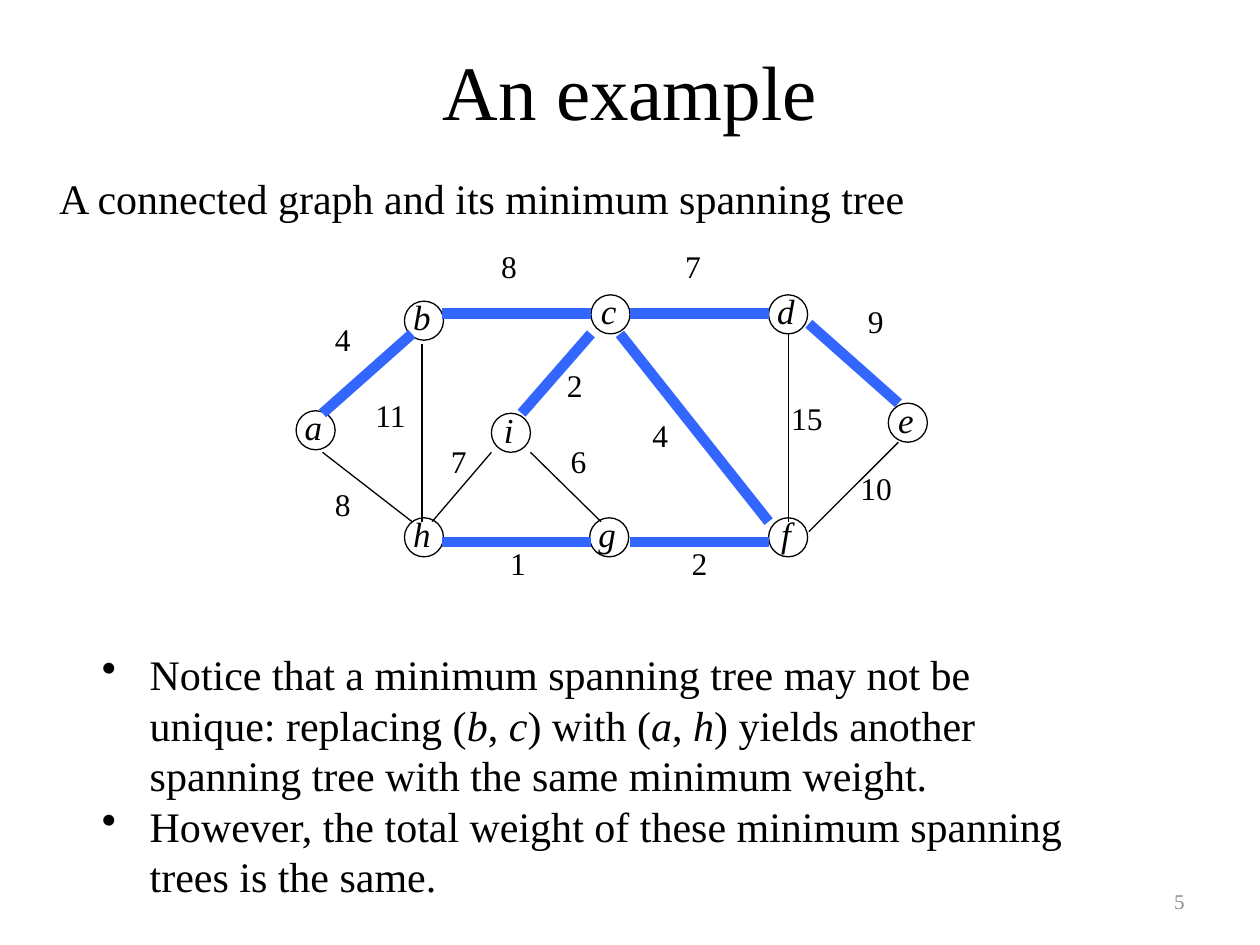
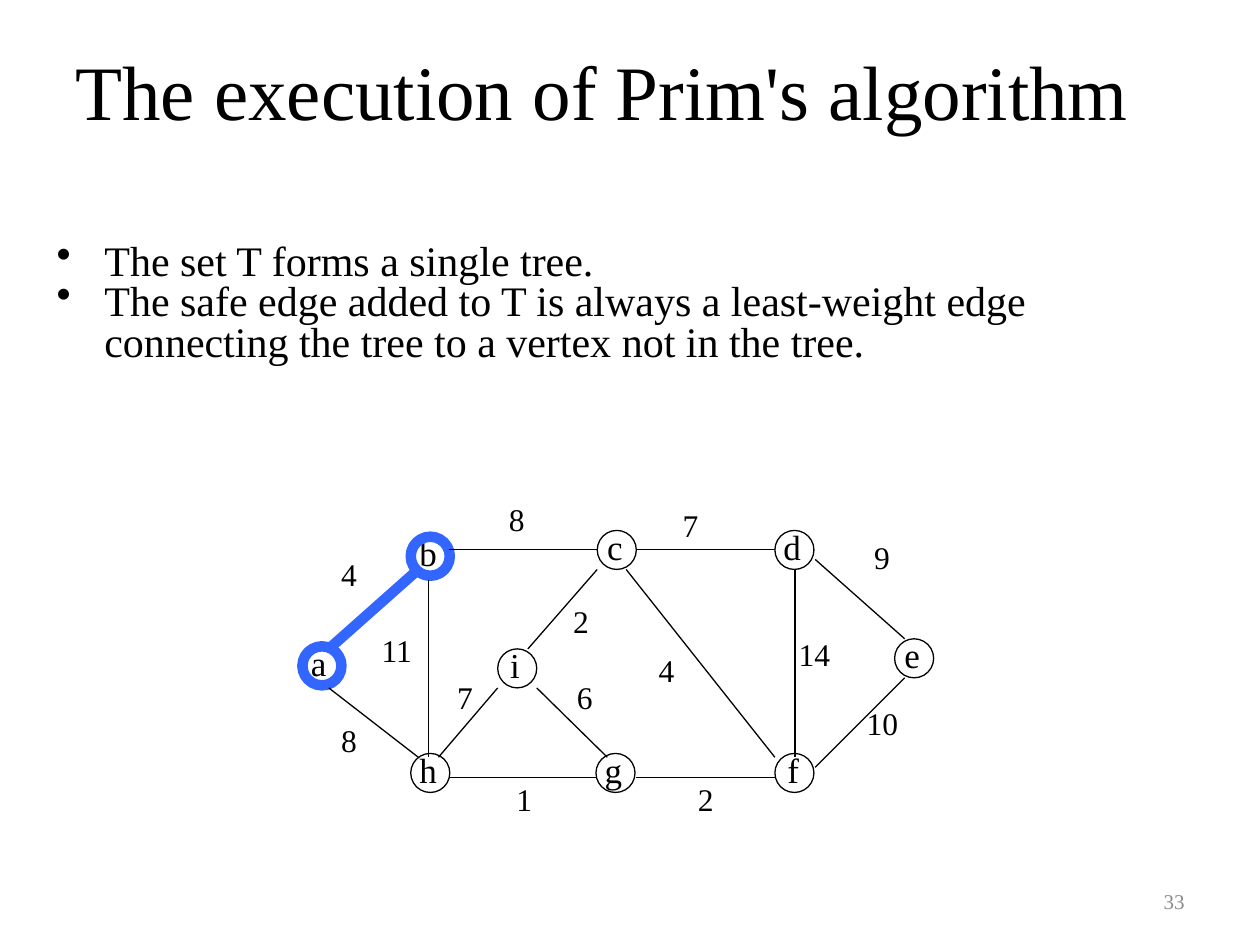
import lxml.etree
import pptx
import pptx.dml.color
import pptx.enum.shapes
import pptx.enum.text
import pptx.oxml.ns
import pptx.util

Inches = pptx.util.Inches
Align = pptx.enum.text.PP_ALIGN
Anchor = pptx.enum.text.MSO_ANCHOR

FONT = "Times New Roman"
BLACK, BLUE, GRAY = "000000", "3366FF", "8C8C8C"
THIN, THICK = 0.75, 6
NODE_SIZE = 0.31

NODES = {
    "a": (2.35, 3.26), "b": (3.21, 2.39), "h": (3.21, 4.11),
    "c": (4.69, 2.34), "d": (6.1, 2.34), "e": (7.05, 3.2),
    "f": (6.1, 4.11), "g": (4.68, 4.11), "i": (3.9, 3.28),
}
LETTER_WIDTHS = {"c": 0.32, "e": 0.32, "f": 0.28, "i": 0.28}
EDGES = {
    "ab": (2.56, 3.28, 3.27, 2.65),
    "ah": (2.56, 3.59, 3.27, 4.14),
    "bh": (3.35, 2.73, 3.35, 4.14),
    "bc": (3.51, 2.49, 4.69, 2.49),
    "hg": (3.51, 4.3, 4.69, 4.3),
    "gf": (5, 4.3, 6.1, 4.3),
    "cf": (4.92, 2.65, 6.1, 4.14),
    "cd": (5, 2.49, 6.1, 2.49),
    "df": (6.26, 2.65, 6.26, 4.14),
    "de": (6.42, 2.57, 7.13, 3.2),
    "fe": (6.42, 4.22, 7.13, 3.51),
    "ig": (4.21, 3.59, 4.77, 4.14),
    "hi": (3.43, 4.14, 3.9, 3.59),
    "ic": (4.14, 3.28, 4.69, 2.65),
}
WEIGHTS = {
    "ab": ("4", 2.56, 2.49), "bc": ("8", 3.88, 1.91), "cd": ("7", 5.34, 1.91),
    "de": ("9", 6.79, 2.35), "fe": ("10", 6.73, 3.67), "df": ("15", 6.18, 3.12),
    "cf": ("4", 5.08, 3.25), "ic": ("2", 4.4, 2.86), "gf": ("2", 5.39, 4.27),
    "ig": ("6", 4.43, 3.46), "hg": ("1", 3.95, 4.27), "hi": ("7", 3.48, 3.46),
    "bh": ("11", 2.88, 3.09), "ah": ("8", 2.56, 3.8),
}
PRIM_WEIGHTS = WEIGHTS | {
    "bc": ("8", 3.89, 2.05), "cd": ("7", 5.27, 2.1), "df": ("14", 6.19, 3.12),
}


def color(value):
    """Turn a hex string into a colour."""
    return pptx.dml.color.RGBColor.from_string(value)


def add_bullet(paragraph, indent):
    """Give a paragraph a bullet with a hanging indent."""
    properties = paragraph._p.get_or_add_pPr()
    properties.set("marL", str(Inches(indent)))
    properties.set("indent", str(Inches(-0.38)))
    bullet = lxml.etree.SubElement(properties, pptx.oxml.ns.qn("a:buChar"))
    bullet.set("char", "•")


def add_text(shapes, text, left, top, width, height, size=24, tint=BLACK,
             align=Align.LEFT, anchor=Anchor.TOP, italic=False, wrap=True,
             grow=True, indent=None, level=0, spacing=None):
    """Add a text box, one paragraph per line, with *stars* around italics."""
    box = shapes.add_textbox(Inches(left), Inches(top), Inches(width), Inches(height))
    frame = box.text_frame
    frame.word_wrap = wrap
    frame.vertical_anchor = anchor
    fit = pptx.enum.text.MSO_AUTO_SIZE
    frame.auto_size = fit.SHAPE_TO_FIT_TEXT if grow else fit.NONE
    for number, line in enumerate(text.split("\n")):
        paragraph = frame.add_paragraph() if number else frame.paragraphs[0]
        if indent is not None:
            add_bullet(paragraph, indent)
        paragraph.level = level
        paragraph.alignment = align
        if spacing:
            paragraph.line_spacing = spacing
        for part, words in enumerate(line.split("*")):
            span = paragraph.add_run()
            span.text = words
            span.font.name = FONT
            span.font.size = pptx.util.Pt(size)
            span.font.italic = italic or part % 2 == 1
            span.font.color.rgb = color(tint)


def set_line(shape, marked):
    """Draw a shape's line thick and blue when marked, else thin and black."""
    shape.line.color.rgb = color(BLUE if marked else BLACK)
    shape.line.width = pptx.util.Pt(THICK if marked else THIN)


def add_node(shapes, name, left, top, marked, italic):
    """Add a vertex: its letter and the circle around it."""
    width = LETTER_WIDTHS.get(name, 0.34)
    add_text(shapes, name, left + 0.14 - width / 2, top - 0.09, width, 0.43,
             size=20, italic=italic, wrap=False)
    circle = shapes.add_shape(pptx.enum.shapes.MSO_SHAPE.OVAL, Inches(left),
                              Inches(top), Inches(NODE_SIZE), Inches(NODE_SIZE))
    circle.shadow.inherit = False
    circle.fill.background()
    set_line(circle, marked)


def add_edge(shapes, start_x, start_y, end_x, end_y, marked):
    """Add a straight edge without a shadow."""
    edge = shapes.add_connector(pptx.enum.shapes.MSO_CONNECTOR.STRAIGHT,
                                Inches(start_x), Inches(start_y),
                                Inches(end_x), Inches(end_y))
    set_line(edge, marked)
    lxml.etree.SubElement(edge._element.spPr, pptx.oxml.ns.qn("a:effectLst"))


def add_graph(page, tree, weights, shift_x=0, shift_y=0, ringed="", italic=False):
    """Add the weighted graph with the tree edges and ringed nodes marked."""
    shapes = page.shapes.add_group_shape().shapes
    for name, (left, top) in NODES.items():
        add_node(shapes, name, left + shift_x, top + shift_y, name in ringed, italic)
    for name, (start_x, start_y, end_x, end_y) in EDGES.items():
        add_edge(shapes, start_x + shift_x, start_y + shift_y,
                 end_x + shift_x, end_y + shift_y, name in tree)
    for weight, left, top in weights.values():
        width = 0.33 if len(weight) == 1 else 0.45
        add_text(shapes, weight, left + shift_x, top + shift_y, width, 0.4,
                 size=18, wrap=False)


def add_page(deck, title, number, align):
    """Add a blank page with its title and page number."""
    page = deck.slides.add_slide(deck.slide_layouts[6])
    add_text(page.shapes, number, 7.17, 6.95, 2.33, 0.4, size=12, tint=GRAY,
             align=Align.RIGHT, anchor=Anchor.MIDDLE, grow=False)
    add_text(page.shapes, title, 0.5, 0.3, 9, 1.25, size=44, align=align, grow=False)
    return page


def add_example_page(deck):
    """Add the page with a graph and its minimum spanning tree."""
    page = add_page(deck, "An example", "5", Align.CENTER)
    add_text(page.shapes, "A connected graph and its minimum spanning tree",
             0.37, 1.32, 8.92, 0.5)
    add_graph(page, ["ab", "bc", "cd", "de", "ic", "cf", "hg", "gf"], WEIGHTS,
              italic=True)
    add_text(page.shapes,
             "Notice that a minimum spanning tree may not be unique: replacing "
             "(*b*, *c*) with (*a*, *h*) yields another spanning tree with the "
             "same minimum weight.\n"
             "However, the total weight of these minimum spanning trees is the same.",
             0.71, 5.1, 8.04, 2.12, indent=0.38)


def add_prim_page(deck):
    """Add the page with the first step of Prim's algorithm."""
    page = add_page(deck, "The execution of Prim's algorithm", "33", Align.LEFT)
    add_text(page.shapes,
             "The set T forms a single tree.\n"
             "The safe edge added to T is always a least-weight edge connecting "
             "the tree to a vertex not in the tree.",
             -0.15, 1.89, 9.78, 1.07, indent=0.88, level=1, spacing=0.8)
    add_graph(page, ["ab"], PRIM_WEIGHTS, shift_x=0.05, shift_y=1.87, ringed="ab")


def main():
    """Build the deck and save it."""
    deck = pptx.Presentation()
    deck.slide_width, deck.slide_height = Inches(10), Inches(7.5)
    add_example_page(deck)
    add_prim_page(deck)
    deck.save("out.pptx")


if __name__ == "__main__":
    main()
